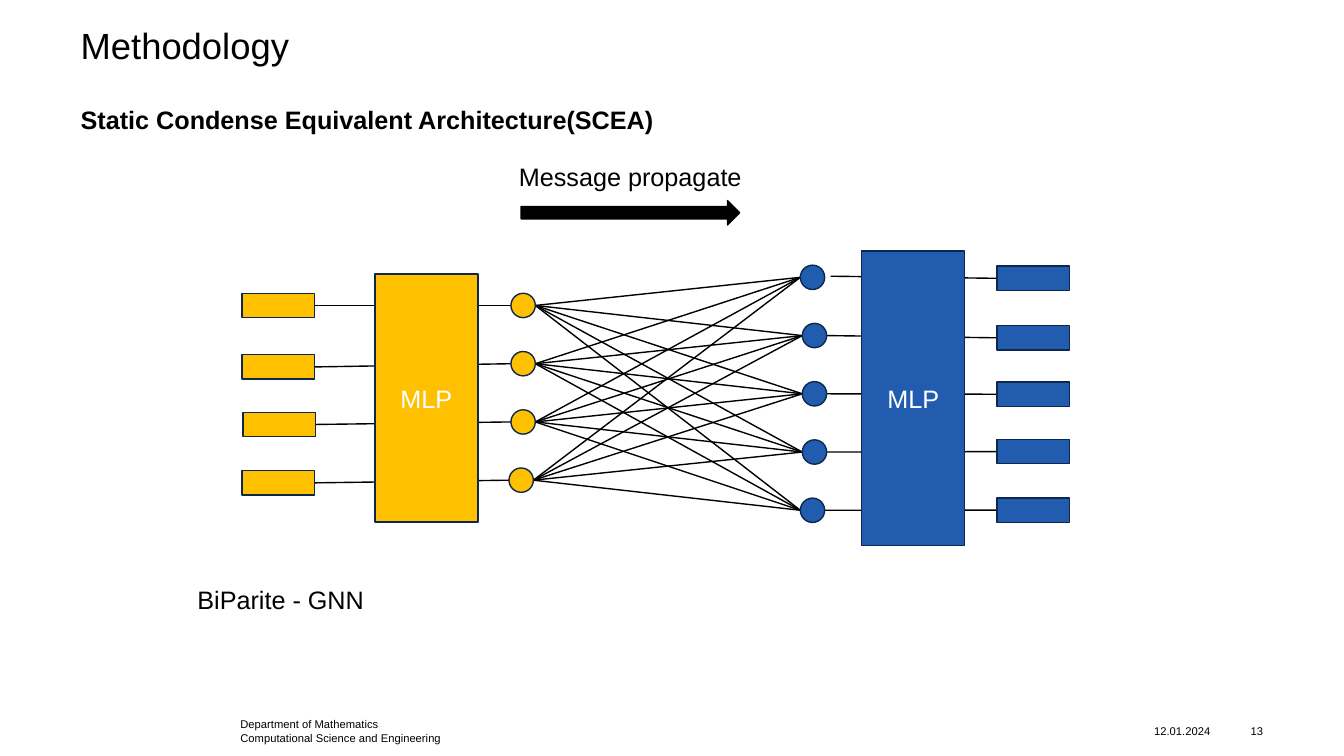
import lxml.etree
import pptx
import pptx.dml.color
import pptx.enum.shapes
import pptx.enum.text
import pptx.oxml.ns
import pptx.util

Pt = pptx.util.Pt
SHAPE = pptx.enum.shapes.MSO_SHAPE
ALIGN = pptx.enum.text.PP_ALIGN
ANCHOR = pptx.enum.text.MSO_ANCHOR
AUTO_SIZE = pptx.enum.text.MSO_AUTO_SIZE

BLACK = pptx.dml.color.RGBColor(0x00, 0x00, 0x00)
WHITE = pptx.dml.color.RGBColor(0xFF, 0xFF, 0xFF)
YELLOW = pptx.dml.color.RGBColor(0xFF, 0xC0, 0x00)
BLUE = pptx.dml.color.RGBColor(0x21, 0x5C, 0xAF)
NAVY = pptx.dml.color.RGBColor(0x0E, 0x28, 0x4D)

NODE = 17.4
BAR_WIDTH = 51.8
STEP = 41.6

presentation = pptx.Presentation()
presentation.slide_width = Pt(960)
presentation.slide_height = Pt(540)
slide = presentation.slides.add_slide(presentation.slide_layouts[1])


def add_block(kind, left, top, width, height, fill, outline=NAVY):
    shape = slide.shapes.add_shape(kind, Pt(left), Pt(top), Pt(width), Pt(height))
    shape.shadow.inherit = False
    shape.fill.solid()
    shape.fill.fore_color.rgb = fill
    shape.line.color.rgb = outline
    shape.line.width = Pt(1)
    return shape


def write_text(shape, text, size, color=BLACK, align=ALIGN.LEFT, bold=False):
    frame = shape.text_frame
    frame.word_wrap = True
    frame.text = text
    for paragraph in frame.paragraphs:
        paragraph.alignment = align
        paragraph.space_before = Pt(0)
        paragraph.font.name = "Arial"
        paragraph.font.size = Pt(size)
        paragraph.font.bold = bold
        paragraph.font.color.rgb = color


# Title and subtitle
title = slide.shapes.title
subtitle = slide.placeholders[1]
for placeholder, text, size, bold, (left, top, width, height) in [
    (title, "Methodology", 26, False, (57.6, 20.2, 782.6, 33.8)),
    (subtitle, "Static Condense Equivalent Architecture(SCEA)", 18, True,
     (57.6, 74.2, 439.2, 40.3)),
]:
    placeholder.left, placeholder.top = Pt(left), Pt(top)
    placeholder.width, placeholder.height = Pt(width), Pt(height)
    frame = placeholder.text_frame
    frame.margin_left = frame.margin_right = frame.margin_top = frame.margin_bottom = 0
    frame.vertical_anchor = ANCHOR.TOP
    frame.auto_size = AUTO_SIZE.NONE
    write_text(placeholder, text, size, bold=bold)
title.text_frame.paragraphs[0].line_spacing = 0.9
properties = subtitle.text_frame.paragraphs[0]._p.get_or_add_pPr()
properties.set("marL", "0")
properties.set("indent", "0")
lxml.etree.SubElement(properties, pptx.oxml.ns.qn("a:buNone"))

# Top left corners of the network parts
yellow_nodes = [(left, 209.5 + STEP * row)
                for row, left in enumerate([365, 365, 365, 363.6])]
blue_nodes = [(left, 189.4 + STEP * row)
              for row, left in enumerate([571.7, 573.1, 573.1, 573.1, 571.7])]
yellow_bars = [(172.8, 209.5), (172.8, 253.4), (173.5, 294.5), (172.8, 336.2)]
blue_bars = [(712.1, top) for top in (190.1, 232.6, 272.9, 313.9, 355.7)]

# Lines join the right middle of one part to the left middle of the next
links = [(left + BAR_WIDTH, top, *node)
         for (left, top), node in zip(yellow_bars, yellow_nodes)]
links += [(left + NODE, top, *bar)
          for (left, top), bar in zip(blue_nodes, blue_bars)]
links[len(yellow_bars)] = (593.3, 188.6, *blue_bars[0])
links += [(left + NODE, top, *target)
          for left, top in yellow_nodes for target in blue_nodes]
for start_x, start_y, end_x, end_y in links:
    connector = slide.shapes.add_connector(
        pptx.enum.shapes.MSO_CONNECTOR.STRAIGHT,
        Pt(start_x), Pt(start_y + NODE / 2), Pt(end_x), Pt(end_y + NODE / 2))
    connector.line.color.rgb = BLACK
    connector.line.width = Pt(1)
    lxml.etree.SubElement(connector._element.spPr, pptx.oxml.ns.qn("a:effectLst"))

# Nodes, bars and MLP blocks
for nodes, bars, color, mlp_box in [
    (yellow_nodes, yellow_bars, YELLOW, (267.8, 195.8, 73.6, 177.1)),
    (blue_nodes, blue_bars, BLUE, (615.6, 179.3, 73.6, 210.2)),
]:
    for left, top in nodes:
        add_block(SHAPE.OVAL, left, top, NODE, NODE, color)
    for left, top in bars:
        add_block(SHAPE.RECTANGLE, left, top, BAR_WIDTH, NODE, color)
    mlp = add_block(SHAPE.RECTANGLE, *mlp_box, color)
    mlp.text_frame.vertical_anchor = ANCHOR.MIDDLE
    write_text(mlp, "MLP", 18, WHITE, ALIGN.CENTER)

add_block(SHAPE.RIGHT_ARROW, 372.2, 143.3, 156.2, 17.4, BLACK, BLACK)

# Captions
for text, left, top, width in [
    ("Message propagate", 363.6, 111.6, 197.3),
    ("BiParite - GNN", 133.9, 414, 287.3),
]:
    caption = slide.shapes.add_textbox(Pt(left), Pt(top), Pt(width), Pt(29))
    caption.text_frame.auto_size = AUTO_SIZE.SHAPE_TO_FIT_TEXT
    write_text(caption, text, 18)

# Footer
for text, left, width, align in [
    ("Department of Mathematics\nComputational Science and Engineering",
     171.7, 425.5, ALIGN.LEFT),
    ("12.01.2024", 824.4, 55, ALIGN.LEFT),
    ("13", 877, 25.2, ALIGN.RIGHT),
]:
    footer = slide.shapes.add_textbox(Pt(left), Pt(513.4), Pt(width), Pt(17.3))
    frame = footer.text_frame
    frame.margin_left = frame.margin_right = frame.margin_top = frame.margin_bottom = 0
    frame.vertical_anchor = ANCHOR.MIDDLE
    write_text(footer, text, 8, align=align)

presentation.save("out.pptx")
